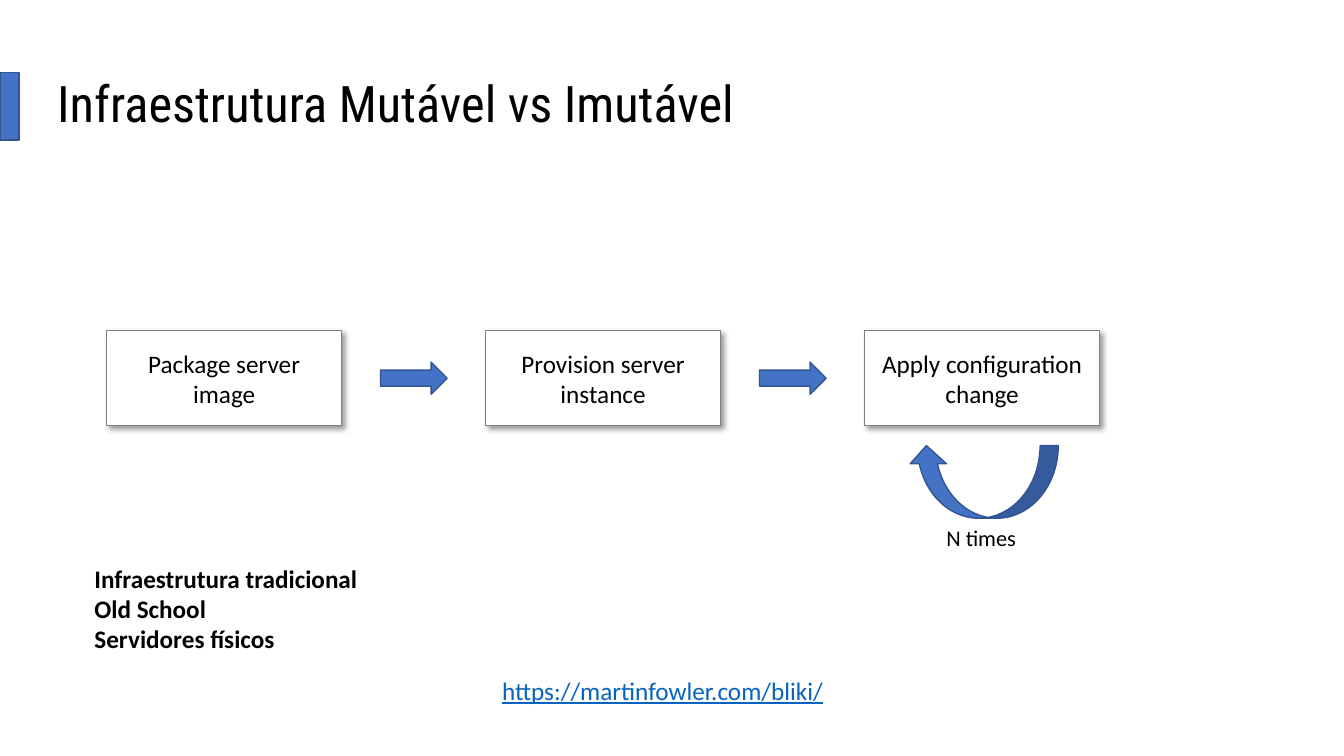
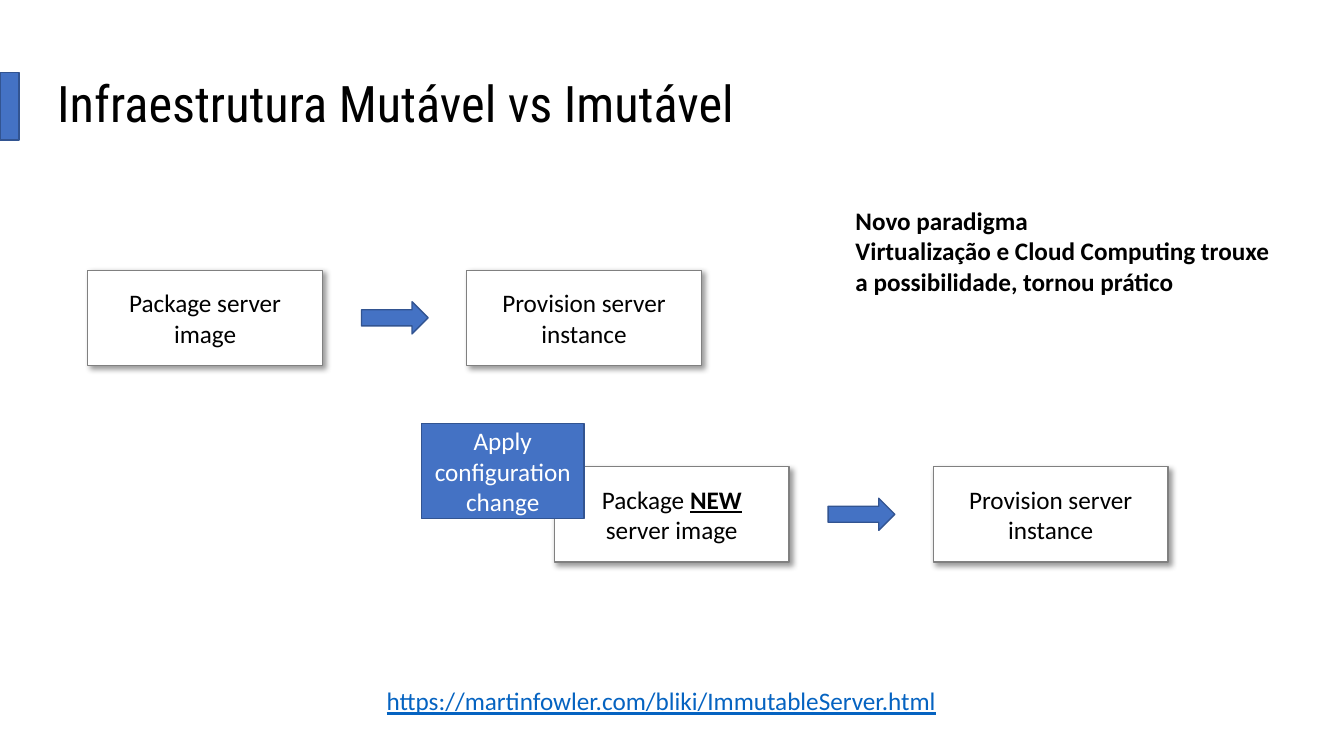
import pptx
import pptx.util
import pptx.dml.color
import pptx.enum.shapes
import pptx.enum.text
from dataclasses import dataclass
from lxml import etree

Cm, Pt = pptx.util.Cm, pptx.util.Pt
SHAPE = pptx.enum.shapes.MSO_SHAPE
ALIGN = pptx.enum.text.PP_ALIGN
ANCHOR = pptx.enum.text.MSO_ANCHOR
AUTO_SIZE = pptx.enum.text.MSO_AUTO_SIZE
DML = "http://schemas.openxmlformats.org/drawingml/2006/main"


# Theme
@dataclass(frozen=True)
class Theme:
    accent: str = "4472C4"
    accent_line: str = "325491"
    paper: str = "FFFFFF"
    box_line: str = "808080"
    ink: str = "000000"
    link: str = "0563C1"
    title_font: str = "Roboto Condensed"
    body_font: str = "Calibri"
    title_size: int = 36
    body_size: int = 18
    small_size: int = 16


T = Theme()

# Content: lengths in cm, *word* is emphasised
TITLE = "Infraestrutura Mutável vs Imutável"
PACKAGE = ["Package server image"]
PROVISION = ["Provision server instance"]
APPLY = ["Apply configuration change"]

SLIDES = [
    {
        "flows": [((2.69, 8.33), [PACKAGE, PROVISION, APPLY])],
        "loop": ["N times"],
        "note": ((2.13, 14.07), ["Infraestrutura tradicional", "Old School", "Servidores físicos"]),
        "link": ("https://martinfowler.com/bliki/", 16.89, 8.71),
    },
    {
        "flows": [
            ((2.21, 6.81), [PACKAGE, PROVISION]),
            ((13.97, 11.76), [["Package *NEW*", "server image"], PROVISION]),
        ],
        "callout": ((10.62, 10.67), APPLY),
        "note": ((21.31, 5.05), ["Novo paradigma",
                 "Virtualização e Cloud Computing trouxe a possibilidade, tornou prático"]),
        "link": ("https://martinfowler.com/bliki/ImmutableServer.html", 17.15, 14.53),
    },
]

# Layout
BOX_W, BOX_H, BOX_PITCH = 5.92, 2.4, 9.55
CALLOUT_W = 4.1
ARROW_W, ARROW_H, ARROW_GAP = 1.68, 0.81, 0.98
LOOP_W, LOOP_H = 3.78, 1.83
NOTE_W, NOTE_H = 11.25, 3.33
LINK_CENTER = 16.76


def rgb(color):
    return pptx.dml.color.RGBColor.from_string(color)


# Drawing helpers
def write(tf, lines, size=T.body_size, color=T.ink, font=T.body_font,
          align=ALIGN.LEFT, bold=False, underline=False):
    for i, line in enumerate(lines):
        p = tf.paragraphs[0] if i == 0 else tf.add_paragraph()
        p.alignment = align
        for j, part in enumerate(line.split("*")):
            if not part:
                continue
            strong = j % 2 == 1
            r = p.add_run()
            r.text = part
            r.font.name, r.font.size = font, Pt(size)
            r.font.color.rgb = rgb(color)
            r.font.bold = bold or strong
            r.font.underline = underline or strong


def add_text(s, x, y, w, h, lines, wrap=True, **style):
    sp = s.shapes.add_textbox(Cm(x), Cm(y), Cm(w), Cm(h))
    sp.text_frame.word_wrap = wrap
    write(sp.text_frame, lines, **style)
    return sp


def add_shape(s, kind, x, y, w, h, fill=T.accent, line=T.accent_line):
    sp = s.shapes.add_shape(kind, Cm(x), Cm(y), Cm(w), Cm(h))
    sp.shadow.inherit = False
    sp.fill.solid()
    sp.fill.fore_color.rgb = rgb(fill)
    sp.line.color.rgb = rgb(line)
    sp.line.width = Pt(1)
    return sp


def add_shadow(sp):
    effects = sp._element.spPr.find(f"{{{DML}}}effectLst")
    shadow = etree.SubElement(effects, f"{{{DML}}}outerShdw", blurRad=str(Pt(4)),
                              dist=str(Pt(3)), dir=str(45 * 60000), algn="tl", rotWithShape="0")
    color = etree.SubElement(shadow, f"{{{DML}}}srgbClr", val=T.ink)
    etree.SubElement(color, f"{{{DML}}}alpha", val="40000")


# Slide parts
def add_title(s):
    sp = add_text(s, 1.19, 1.14, 31.12, 3.07, [TITLE], size=T.title_size, font=T.title_font)
    sp.text_frame.vertical_anchor = ANCHOR.MIDDLE
    p = sp.text_frame.paragraphs[0]
    p.line_spacing, p.space_after = 0.9, Pt(6)
    add_shape(s, SHAPE.RECTANGLE, 0, 1.83, 0.48, 1.7)


def add_flow(s, origin, steps):
    left, top = origin
    for i, lines in enumerate(steps):
        x = left + i * BOX_PITCH
        sp = add_shape(s, SHAPE.RECTANGLE, x, top, BOX_W, BOX_H, T.paper, T.box_line)
        add_shadow(sp)
        write(sp.text_frame, lines, align=ALIGN.CENTER)
        if i < len(steps) - 1:
            add_shape(s, SHAPE.RIGHT_ARROW, x + BOX_W + ARROW_GAP,
                      top + (BOX_H - ARROW_H) / 2, ARROW_W, ARROW_H)


def add_loop(s, label):
    x, y = 22.89, 11.23
    sp = add_shape(s, SHAPE.CURVED_UP_ARROW, x, y, LOOP_W, LOOP_H)
    sp._element.spPr.xfrm.set("flipH", "1")
    add_text(s, x + 0.71, y + LOOP_H + 0.02, 2.36, 0.94, label, size=T.small_size)


def add_callout(s, origin, lines):
    sp = add_shape(s, SHAPE.RECTANGLE, *origin, CALLOUT_W, BOX_H)
    write(sp.text_frame, lines, color=T.paper, align=ALIGN.CENTER)


def add_link(s, address, top, width):
    sp = add_text(s, LINK_CENTER - width / 2, top, width, 1.02, [address],
                  wrap=False, color=T.link, underline=True)
    sp.text_frame.auto_size = AUTO_SIZE.SHAPE_TO_FIT_TEXT


def main():
    prs = pptx.Presentation()
    prs.slide_width, prs.slide_height = Cm(33.87), Cm(19.05)
    for content in SLIDES:
        s = prs.slides.add_slide(prs.slide_layouts[6])
        add_title(s)
        for origin, steps in content["flows"]:
            add_flow(s, origin, steps)
        if "loop" in content:
            add_loop(s, content["loop"])
        if "callout" in content:
            add_callout(s, *content["callout"])
        origin, lines = content["note"]
        add_text(s, *origin, NOTE_W, NOTE_H, lines, bold=True)
        add_link(s, *content["link"])
    prs.save("out.pptx")


if __name__ == "__main__":
    main()
